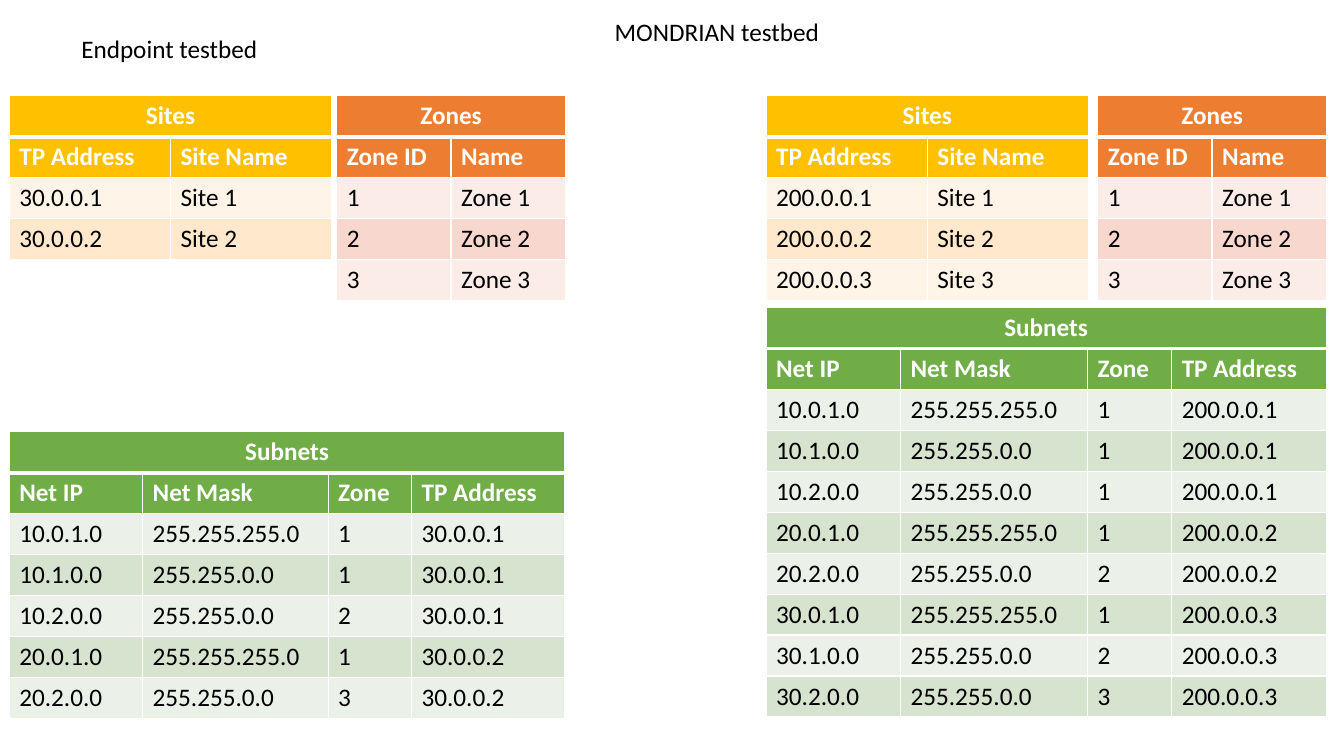
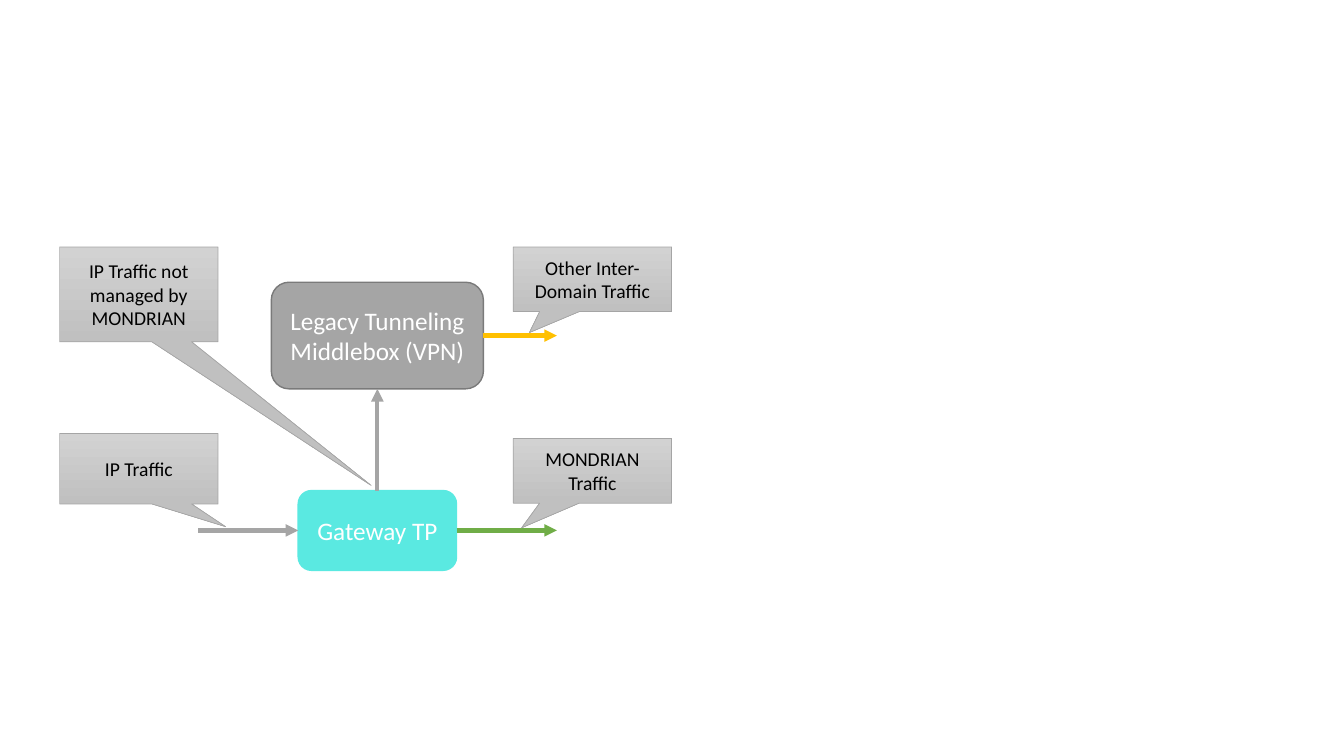
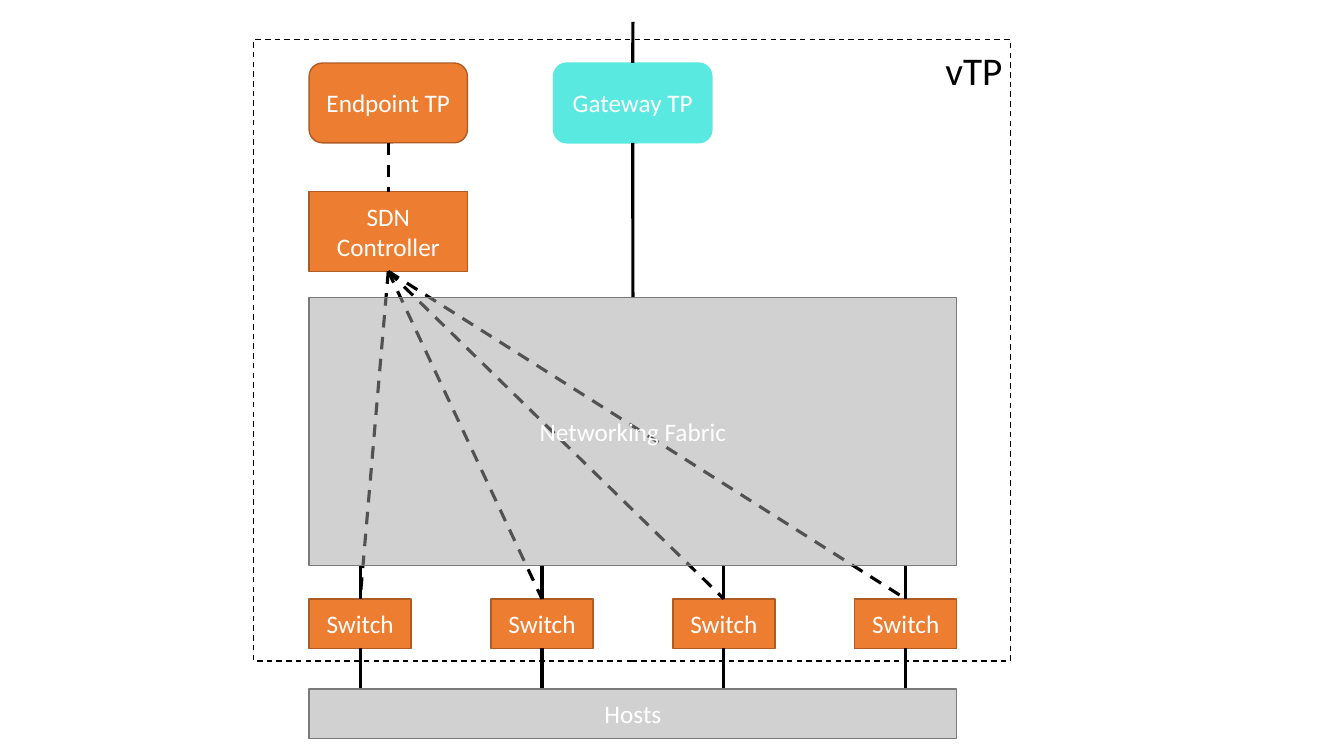
from lxml import etree
from pptx import Presentation
from pptx.dml.color import RGBColor
from pptx.enum.dml import MSO_LINE
from pptx.enum.shapes import MSO_CONNECTOR, MSO_SHAPE
from pptx.enum.text import MSO_ANCHOR, MSO_AUTO_SIZE, PP_ALIGN
from pptx.oxml.ns import qn
from pptx.util import Inches, Pt

RECT = MSO_SHAPE.RECTANGLE
ROUNDED = MSO_SHAPE.ROUNDED_RECTANGLE
CALLOUT = MSO_SHAPE.RECTANGULAR_CALLOUT
STRAIGHT = MSO_CONNECTOR.STRAIGHT
DASH = MSO_LINE.DASH
MIDDLE = MSO_ANCHOR.MIDDLE
GROW = MSO_AUTO_SIZE.SHAPE_TO_FIT_TEXT
LEFT_ALIGN, CENTER, RIGHT_ALIGN = PP_ALIGN.LEFT, PP_ALIGN.CENTER, PP_ALIGN.RIGHT
TOP, LEFT, BOTTOM, RIGHT = range(4)  # connection sites of a box

# Shared style
FONT = "Calibri"
WHITE, BLACK = "FFFFFF", "000000"
ORANGE, GOLD, GREEN, GRAY, CYAN = "ED7D31", "FFC000", "70AD47", "A5A5A5", "5AE9E1"
ORANGE_EDGE, GRAY_EDGE = "AF5C24", "7A7A7A"
BANDS = {  # header colour -> alternating row colours
    ORANGE: ("FCECE8", "F8D7CE"),
    GOLD: ("FFF4E7", "FFE8CC"),
    GREEN: ("EBF1E9", "D5E3CF"),
}
COLUMNS, ROWS = 160, 90
TABLE_ROW = 4.88
NODE_W, NODE_H = 18.85, 9.5


def rgb(color):
    return RGBColor.from_string(color)


class Deck:
    def __init__(self):
        self.prs = Presentation()
        self.prs.slide_width, self.prs.slide_height = Inches(13.33), Inches(7.5)
        self.slide = None

    def new_slide(self):
        self.slide = self.prs.slides.add_slide(self.prs.slide_layouts[6])

    def x(self, columns):
        return round(self.prs.slide_width * columns / COLUMNS)

    def y(self, rows):
        return round(self.prs.slide_height * rows / ROWS)

    def area(self, left, top, width, height):
        return self.x(left), self.y(top), self.x(width), self.y(height)

    def set_text(self, frame, text, color, size=18, align=CENTER, bold=False):
        paragraph = frame.paragraphs[0]
        paragraph.text = text
        paragraph.alignment = align
        font = paragraph.font
        font.name, font.size, font.bold = FONT, Pt(size), bold
        font.color.rgb = rgb(color)

    def label(self, bounds, text, size=18, align=LEFT_ALIGN, wrap=False):
        frame = self.slide.shapes.add_textbox(*self.area(*bounds)).text_frame
        frame.word_wrap = wrap
        frame.auto_size = GROW
        self.set_text(frame, text, BLACK, size, align)

    def box(self, preset, bounds, text="", fill=None, edge=BLACK, weight=1,
            color=WHITE, size=18):
        shape = self.slide.shapes.add_shape(preset, *self.area(*bounds))
        shape.shadow.inherit = False
        shape.line.color.rgb = rgb(edge)
        shape.line.width = Pt(weight)
        if fill:
            shape.fill.solid()
            shape.fill.fore_color.rgb = rgb(fill)
        else:
            shape.fill.background()
        if text:
            shape.text_frame.word_wrap = True
            shape.text_frame.vertical_anchor = MIDDLE
            self.set_text(shape.text_frame, text, color, size)
        return shape

    def translucent_box(self, bounds, text):
        shape = self.box(RECT, bounds, text, GRAY, GRAY_EDGE)
        tint = shape._element.spPr.find(qn("a:solidFill"))[0]
        etree.SubElement(tint, qn("a:alpha"), val="50000")

    def callout(self, bounds, text, pointer):
        shape = self.box(CALLOUT, bounds, text, GRAY, GRAY, 0.5, BLACK, 14)
        shape.adjustments[0], shape.adjustments[1] = pointer
        shape.fill.gradient()
        shape.fill.gradient_angle = 270
        for stop, shade in zip(shape.fill.gradient_stops, ("D2D2D2", "C0C0C0")):
            stop.color.rgb = rgb(shade)

    def line(self, start, end, color=BLACK, weight=2.25, dashed=False, arrow=False):
        """Each end is (column, row) or (box, connection site)."""
        link = self.slide.shapes.add_connector(STRAIGHT, 0, 0, 0, 0)
        if isinstance(start[0], (int, float)):
            link.begin_x, link.begin_y = self.x(start[0]), self.y(start[1])
        else:
            link.begin_connect(*start)
        if isinstance(end[0], (int, float)):
            link.end_x, link.end_y = self.x(end[0]), self.y(end[1])
        else:
            link.end_connect(*end)
        link.line.color.rgb = rgb(color)
        link.line.width = Pt(weight)
        if dashed:
            link.line.dash_style = DASH
        properties = link._element.spPr
        if arrow:
            etree.SubElement(properties.find(qn("a:ln")), qn("a:tailEnd"), type="triangle")
        etree.SubElement(properties, qn("a:effectLst"))

    def borders(self, cell, top, bottom):
        properties = cell._tc.get_or_add_tcPr()
        for side, weight in (("L", 1), ("R", 1), ("T", top), ("B", bottom)):
            edge = etree.SubElement(properties, qn(f"a:ln{side}"), w=str(Pt(weight)))
            paint = etree.SubElement(edge, qn("a:solidFill"))
            etree.SubElement(paint, qn("a:srgbClr"), val=WHITE)

    def table(self, left, top, widths, title, heads, records, color):
        rows = [[title] + [""] * (len(heads) - 1), heads, *records]
        bounds = self.area(left, top, sum(widths), TABLE_ROW * len(rows))
        grid = self.slide.shapes.add_table(len(rows), len(heads), *bounds).table
        grid.first_row = grid.horz_banding = False
        for column, width in zip(grid.columns, widths):
            column.width = self.x(width)
        for r, values in enumerate(rows):
            grid.rows[r].height = self.y(TABLE_ROW)
            is_head = r < 2
            for c, value in enumerate(values):
                cell = grid.cell(r, c)
                self.borders(cell, 3 if r == 1 else 1, 3 if r == 0 else 1)
                cell.fill.solid()
                cell.fill.fore_color.rgb = rgb(color if is_head else BANDS[color][r % 2])
                self.set_text(cell.text_frame, value, WHITE if is_head else BLACK,
                              align=LEFT_ALIGN if r else CENTER, bold=is_head)
        grid.cell(0, 0).merge(grid.cell(0, len(heads) - 1))


deck = Deck()

# Slide 1: zone configuration of the two testbeds
deck.new_slide()
deck.label((8.5, 3.4, 23.6, 4.8), "Endpoint testbed")
deck.label((72, 1.4, 27, 4.8), "MONDRIAN testbed")

MASK_16, MASK_24 = "255.255.0.0", "255.255.255.0"
endpoint_subnets = [
    ("10.0.1.0", MASK_24, "1", "30.0.0.1"),
    ("10.1.0.0", MASK_16, "1", "30.0.0.1"),
    ("10.2.0.0", MASK_16, "2", "30.0.0.1"),
    ("20.0.1.0", MASK_24, "1", "30.0.0.2"),
    ("20.2.0.0", MASK_16, "3", "30.0.0.2"),
]
mondrian_subnets = [
    ("10.0.1.0", MASK_24, "1", "200.0.0.1"),
    ("10.1.0.0", MASK_16, "1", "200.0.0.1"),
    ("10.2.0.0", MASK_16, "1", "200.0.0.1"),
    ("20.0.1.0", MASK_24, "1", "200.0.0.2"),
    ("20.2.0.0", MASK_16, "2", "200.0.0.2"),
    ("30.0.1.0", MASK_24, "1", "200.0.0.3"),
    ("30.1.0.0", MASK_16, "2", "200.0.0.3"),
    ("30.2.0.0", MASK_16, "3", "200.0.0.3"),
]
zones = [(str(n), f"Zone {n}") for n in (1, 2, 3)]
testbeds = [  # sites left, zones left, subnets top, subnets width, network, sites, subnets
    (1.1, 40.1, 51.4, 66.15, "30.0.0", 2, endpoint_subnets),
    (91.2, 130.7, 36.6, 66.7, "200.0.0", 3, mondrian_subnets),
]
subnet_shares = (0.24, 0.334, 0.15, 0.276)
for sites_left, zones_left, subnets_top, subnets_width, network, site_count, subnets in testbeds:
    sites = [(f"{network}.{n}", f"Site {n}") for n in range(1, site_count + 1)]
    deck.table(sites_left, 11.4, (19.2, 19.2), "Sites",
               ("TP Address", "Site Name"), sites, GOLD)
    deck.table(zones_left, 11.4, (13.6, 13.6), "Zones", ("Zone ID", "Name"), zones, ORANGE)
    deck.table(sites_left, subnets_top, [subnets_width * share for share in subnet_shares],
               "Subnets", ("Net IP", "Net Mask", "Zone", "TP Address"), subnets, GREEN)

# Slide 2: traffic through the gateway
deck.new_slide()
gateway = deck.box(ROUNDED, (35.5, 58.4, NODE_W, NODE_H), "Gateway TP", CYAN, CYAN)
middlebox = deck.box(ROUNDED, (32.3, 33.6, 25.25, 12.7),
                     "Legacy Tunneling Middlebox (VPN)", GRAY, GRAY_EDGE)
gateway_row, middlebox_row, exit_column = 63.15, 39.95, 66.3
for start, end, color in (
    ((23.6, gateway_row), (gateway, LEFT), GRAY),
    ((gateway, RIGHT), (exit_column, gateway_row), GREEN),
    ((gateway, TOP), (middlebox, BOTTOM), GRAY),
    ((middlebox, RIGHT), (exit_column, middlebox_row), GOLD),
):
    deck.line(start, end, color, weight=3, arrow=True)

for left, top, height, text, pointer in (
    (61.1, 52.2, 7.7, "MONDRIAN Traffic", (-0.447, 0.882)),
    (61.1, 29.4, 7.7, "Other Inter-Domain Traffic", (-0.398, 0.825)),
    (7.1, 51.6, 8.4, "IP Traffic", (0.548, 0.822)),
    (7.1, 29.4, 11.3, "IP Traffic not managed by MONDRIAN", (1.468, 2.013)),
):
    deck.callout((left, top, NODE_W, height), text, pointer)

# Slide 3: inside the virtual TP
deck.new_slide()
deck.label((108.4, 4.9, 12.1, 6.8), "vTP", 28, RIGHT_ALIGN, wrap=True)
vtp_frame = deck.box(RECT, (30.2, 4.7, 90.1, 74))
vtp_frame.line.dash_style = DASH

site_left, site_width = 36.8, 77.1
fabric_top, fabric_height = 35.4, 31.9
switch_top, switch_width, bar_height = 71.3, 12.15, 5.9
hosts_top = 82
switch_pitch = (site_width - switch_width) / 3

endpoint = deck.box(ROUNDED, (site_left, 7.5, NODE_W, NODE_H),
                    "Endpoint TP", ORANGE, ORANGE_EDGE)
controller = deck.box(RECT, (site_left, 22.8, NODE_W, NODE_H),
                      "SDN Controller", ORANGE, ORANGE_EDGE)
gateway = deck.box(ROUNDED, (65.9, 7.5, NODE_W, NODE_H), "Gateway TP", CYAN, CYAN)
uplink_column = site_left + site_width / 2
deck.line((endpoint, BOTTOM), (controller, TOP), dashed=True)
deck.line((uplink_column, 2.6), (gateway, TOP))
deck.line((gateway, BOTTOM), (uplink_column, fabric_top))

for i in range(4):
    switch_left = site_left + i * switch_pitch
    switch_middle = switch_left + switch_width / 2
    switch = deck.box(RECT, (switch_left, switch_top, switch_width, bar_height),
                      "Switch", ORANGE, ORANGE_EDGE)
    deck.line((controller, BOTTOM), (switch, TOP), dashed=True)
    deck.line((switch_middle, fabric_top + fabric_height), (switch, TOP))
    deck.line((switch, BOTTOM), (switch_middle, hosts_top))

deck.translucent_box((site_left, fabric_top, site_width, fabric_height), "Networking Fabric")
deck.translucent_box((site_left, hosts_top, site_width, bar_height), "Hosts")

deck.prs.save("out.pptx")
